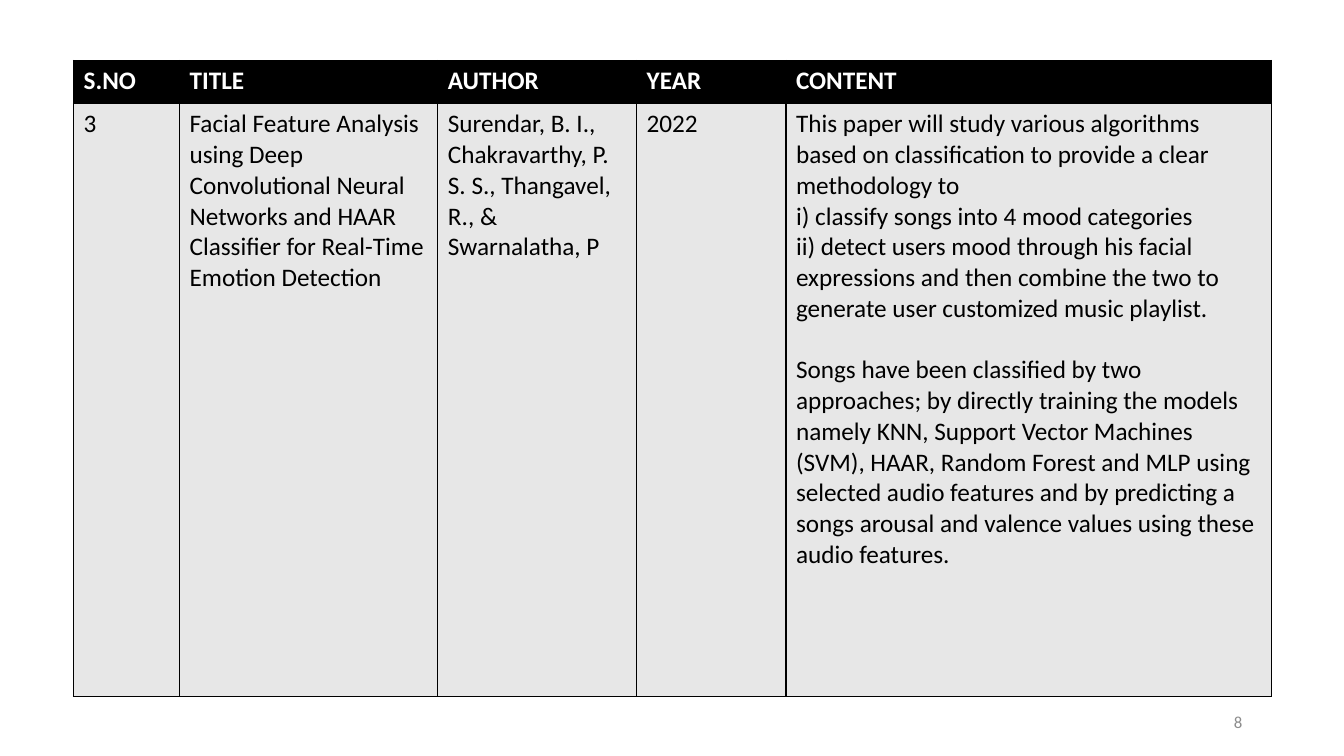
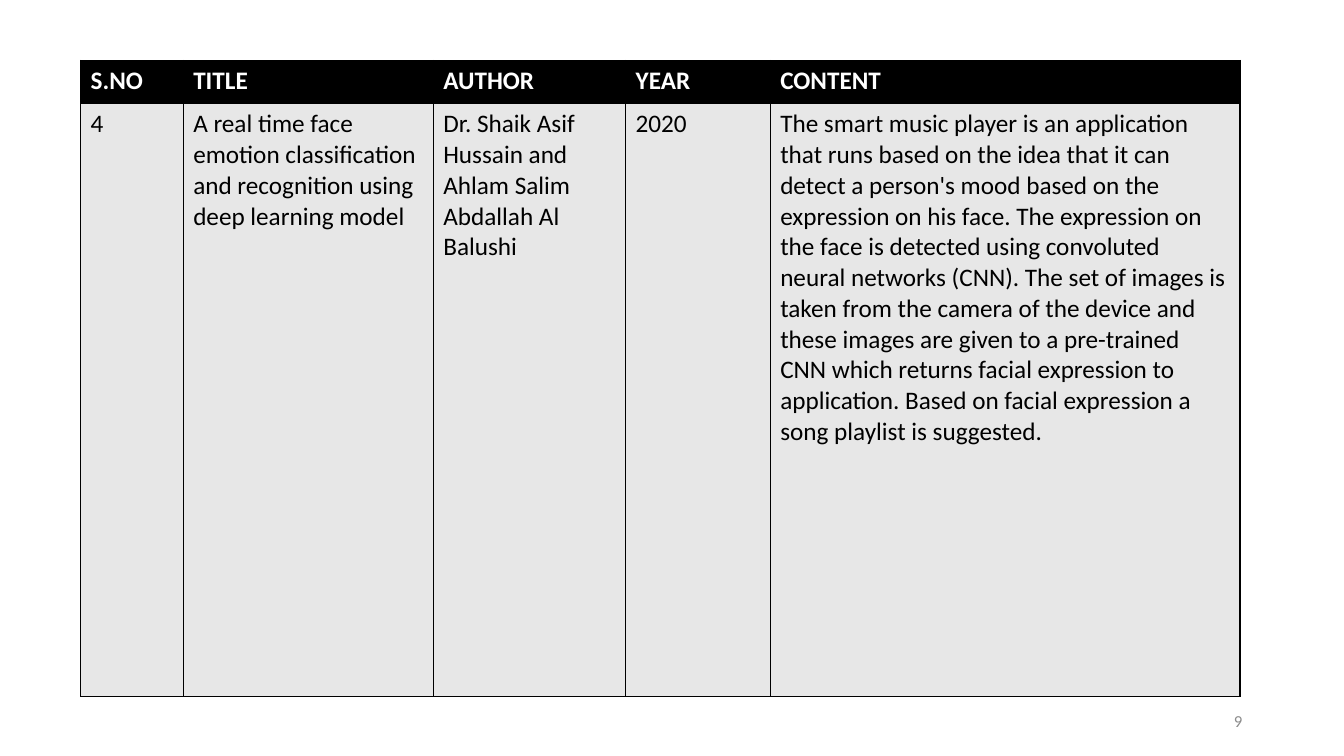
from lxml import etree
from pptx import Presentation
from pptx import util as u
from pptx.dml.color import RGBColor
from pptx.enum import text
from pptx.oxml import ns

COLORS = {"head": "000000", "head_text": "FFFFFF", "body": "E7E7E7",
          "body_text": "000000", "border": "000000", "number": "8C8C8C"}
HEADERS = ["S.NO", "TITLE", "AUTHOR", "YEAR", "CONTENT"]
COL_WEIGHTS = [1.05, 2.56, 1.97, 1.48, 4.81]
ROW_HEIGHTS = [0.43, 5.88]
HEAD_FONT = {"name": "Calibri", "size": u.Pt(18), "bold": True}
BODY_FONT = {**HEAD_FONT, "bold": False}
NUMBER_FONT = {**BODY_FONT, "size": u.Pt(12)}
SECTION_GAP = u.Pt(22)

# Each content section is a list of paragraphs
PAPERS = [
    {"number": "8", "number_box": (9.42, 6.96, 3, 0.4), "left": 0.73, "width": 11.88,
     "cells": ["3",
               "Facial Feature Analysis using Deep Convolutional Neural Networks and "
               "HAAR Classifier for Real-Time Emotion Detection",
               "Surendar, B. I., Chakravarthy, P. S. S., Thangavel, R., & Swarnalatha, P",
               "2022"],
     "content": [
         ["This paper will study various algorithms based on classification to "
          "provide a clear methodology to",
          "i) classify songs into 4 mood categories",
          "ii) detect users mood through his facial expressions and then combine "
          "the two to generate user customized music playlist."],
         ["Songs have been classified by two approaches; by directly training the "
          "models namely KNN, Support Vector Machines (SVM), HAAR, Random Forest and "
          "MLP using selected audio features and by predicting a songs arousal and "
          "valence values using these audio features."]]},
    {"number": "9", "number_box": (9.42, 6.95, 3, 0.4), "left": 0.8, "width": 11.5,
     "cells": ["4",
               "A real time face emotion classification and recognition using deep "
               "learning model",
               "Dr. Shaik Asif Hussain and Ahlam Salim Abdallah Al Balushi",
               "2020"],
     "content": [
         ["The smart music player is an application that runs based on the idea that "
          "it can detect a person's mood based on the expression on his face. The "
          "expression on the face is detected using convoluted neural networks (CNN). "
          "The set of images is taken from the camera of the device and these images "
          "are given to a pre-trained CNN which returns facial expression to "
          "application. Based on facial expression a song playlist is suggested."]]},
]


def write(tf, sections, font, color):
    """Fill a text frame, with a gap before every section after the first."""
    p = None
    for section in sections:
        for i, line in enumerate(section):
            first = p is None
            p = tf.paragraphs[0] if first else tf.add_paragraph()
            if i == 0 and not first:
                p.space_before = SECTION_GAP
            r = p.add_run()
            r.text = line
            for key, value in font.items():
                setattr(r.font, key, value)
            r.font.color.rgb = RGBColor.from_string(COLORS[color])


def add_borders(cell):
    tc_pr = cell._tc.get_or_add_tcPr()
    for side in ("lnL", "lnR", "lnT", "lnB"):
        ln = etree.SubElement(tc_pr, ns.qn("a:" + side), w=str(u.Pt(1)))
        fill = etree.SubElement(ln, ns.qn("a:solidFill"))
        etree.SubElement(fill, ns.qn("a:srgbClr"), val=COLORS["border"])


def add_paper_table(s, box, rows):
    left, top, width, height = box
    table = s.shapes.add_table(len(rows), len(HEADERS), *map(u.Inches, box)).table
    for column, weight in zip(table.columns, COL_WEIGHTS):
        column.width = u.Inches(width * weight / sum(COL_WEIGHTS))
    for i, (row, row_height) in enumerate(zip(rows, ROW_HEIGHTS)):
        table.rows[i].height = u.Inches(row_height)
        style, font = ("body", BODY_FONT) if i else ("head", HEAD_FONT)
        for j, sections in enumerate(row):
            cell = table.cell(i, j)
            add_borders(cell)
            cell.fill.solid()
            cell.fill.fore_color.rgb = RGBColor.from_string(COLORS[style])
            write(cell.text_frame, sections, font, style + "_text")


def add_slide_number(s, box, number):
    tf = s.shapes.add_textbox(*map(u.Inches, box)).text_frame
    tf.word_wrap = True
    tf.vertical_anchor = text.MSO_ANCHOR.MIDDLE
    write(tf, [[number]], NUMBER_FONT, "number")
    tf.paragraphs[0].alignment = text.PP_ALIGN.RIGHT


def add_paper_slide(prs, paper):
    s = prs.slides.add_slide(prs.slide_layouts[6])
    add_slide_number(s, paper["number_box"], paper["number"])
    rows = [[[[header]] for header in HEADERS],
            [[[cell]] for cell in paper["cells"]] + [paper["content"]]]
    add_paper_table(s, (paper["left"], 0.6, paper["width"], sum(ROW_HEIGHTS)), rows)


def main():
    prs = Presentation()
    prs.slide_width, prs.slide_height = u.Inches(13.33), u.Inches(7.5)
    for paper in PAPERS:
        add_paper_slide(prs, paper)
    prs.save("out.pptx")


if __name__ == "__main__":
    main()
